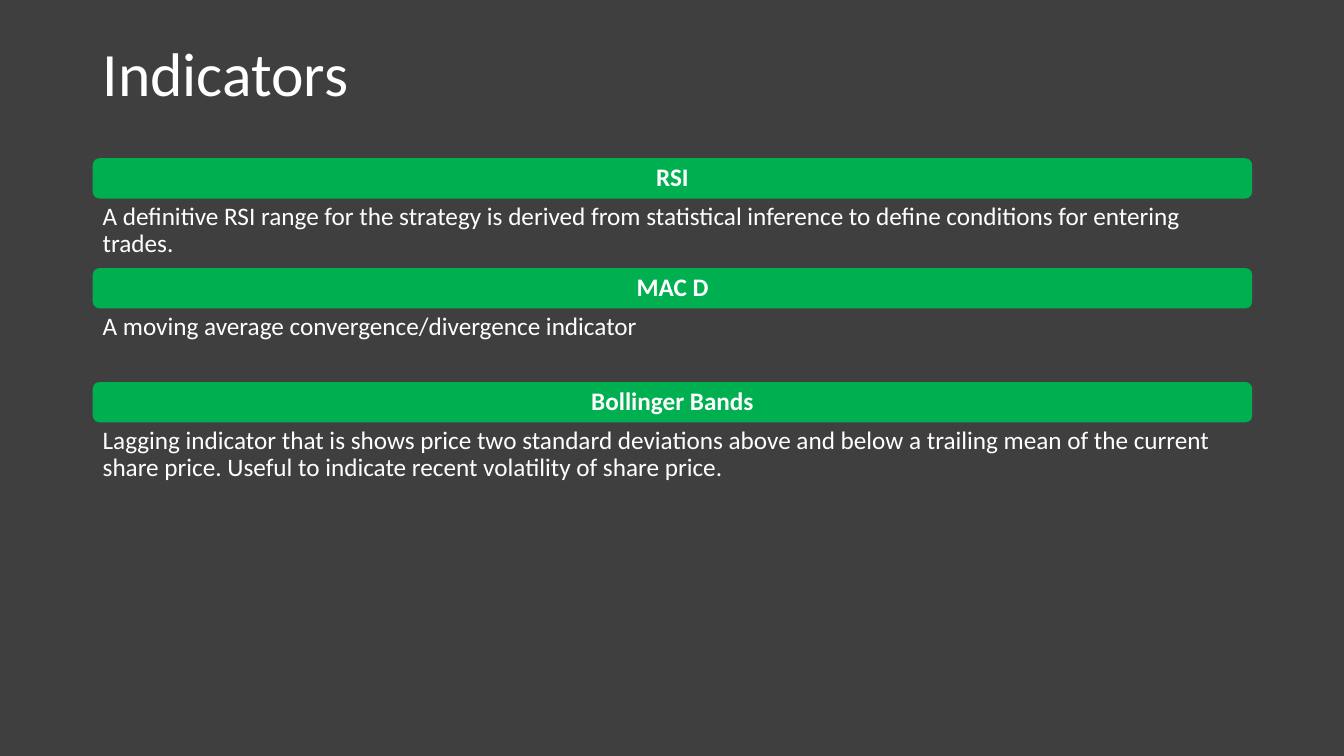
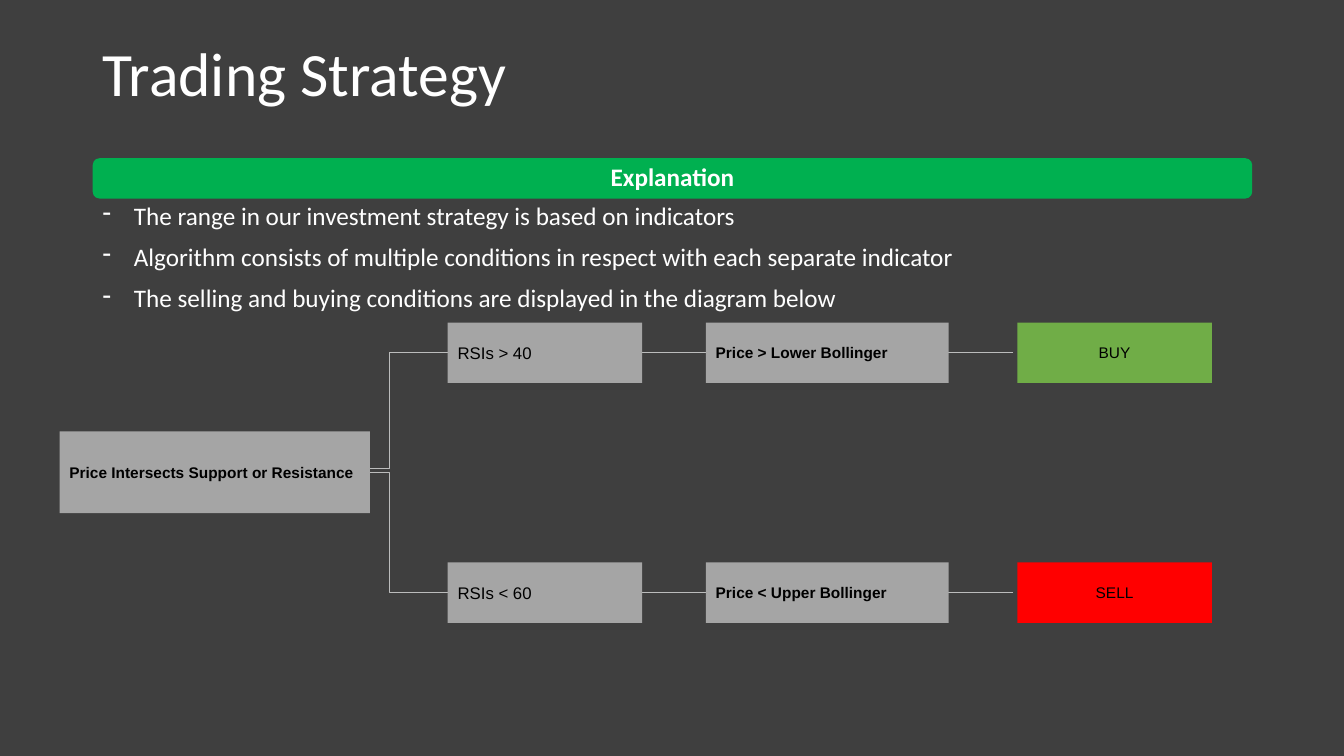
from dataclasses import dataclass

from lxml.etree import SubElement
from pptx import Presentation
from pptx.dml.color import RGBColor
from pptx.enum.shapes import MSO_CONNECTOR, MSO_SHAPE
from pptx.enum.text import MSO_ANCHOR, PP_ALIGN
from pptx.oxml.ns import qn
from pptx.util import Inches, Pt


@dataclass(frozen=True)
class Theme:
    """Colours, fonts and type sizes shared by the slides."""
    background: str = "3F3F3F"
    light_text: str = "FFFFFF"
    dark_text: str = "000000"
    band: str = "00B050"
    condition: str = "A5A5A5"
    buy: str = "70AD47"
    sell: str = "FF0000"
    link: str = "BBBCBC"
    heading_font: str = "Calibri"
    diagram_font: str = "Arial"
    title_size: float = 44
    body_size: float = 18
    rsi_size: float = 12
    node_size: float = 11
    link_width: float = 0.75


@dataclass(frozen=True)
class Box:
    """A region in inches."""
    left: float
    top: float
    width: float
    height: float

    def lengths(self):
        """Return the four values as lengths."""
        return [Inches(v) for v in (self.left, self.top, self.width, self.height)]


THEME = Theme()
CONTENT_LEFT, CONTENT_WIDTH = 0.92, 11.5
BAND_TOP, BAND_HEIGHT = 1.57, 0.4
TITLE_BOX = Box(CONTENT_LEFT, 0.03, CONTENT_WIDTH, 1.46)
NODE_HEIGHT = 0.6


def write_text(frame, lines, size, color, font, bold=False, align=PP_ALIGN.LEFT,
               line_spacing=None, space_before=0):
    """Fill a text frame with uniformly formatted paragraphs."""
    frame.word_wrap = True
    frame.text = "\n".join(lines)
    for paragraph in frame.paragraphs:
        paragraph.alignment = align
        paragraph.line_spacing = line_spacing
        paragraph.space_before = Pt(space_before)
        for run in paragraph.runs:
            run.font.size = Pt(size)
            run.font.name = font
            run.font.bold = bold
            run.font.color.rgb = RGBColor.from_string(color)


def add_panel(slide, box, kind, fill):
    """Add a flat filled shape and return it."""
    panel = slide.shapes.add_shape(kind, *box.lengths())
    panel.shadow.inherit = False
    panel.fill.solid()
    panel.fill.fore_color.rgb = RGBColor.from_string(fill)
    panel.line.fill.background()
    return panel


def add_title(slide, box, title):
    """Place the slide title."""
    frame = slide.shapes.add_textbox(*box.lengths()).text_frame
    frame.vertical_anchor = MSO_ANCHOR.MIDDLE
    write_text(frame, [title], THEME.title_size, THEME.light_text,
               THEME.heading_font, line_spacing=0.9)


def add_section(slide, box, heading, lines, dashed=False):
    """Place a green heading band with body text under it."""
    band_box = Box(box.left, box.top, box.width, BAND_HEIGHT)
    band = add_panel(slide, band_box, MSO_SHAPE.ROUNDED_RECTANGLE, THEME.band)
    band.text_frame.vertical_anchor = MSO_ANCHOR.TOP
    write_text(band.text_frame, [heading], THEME.body_size, THEME.light_text,
               THEME.heading_font, bold=True, align=PP_ALIGN.CENTER,
               line_spacing=0.9, space_before=10)
    body_box = Box(box.left, box.top + BAND_HEIGHT, box.width, box.height - BAND_HEIGHT)
    body = slide.shapes.add_textbox(*body_box.lengths()).text_frame
    write_text(body, lines, THEME.body_size, THEME.light_text,
               THEME.heading_font, line_spacing=0.9, space_before=10)
    if dashed:
        for paragraph in body.paragraphs:
            add_dash(paragraph)


def add_dash(paragraph):
    """Give a paragraph a hanging dash bullet."""
    properties = paragraph._p.get_or_add_pPr()
    properties.set("marL", str(Inches(0.31)))
    properties.set("indent", str(-Inches(0.31)))
    SubElement(properties, qn("a:buChar")).set("char", "-")


def add_node(slide, box, label, fill, size=THEME.node_size, bold=False,
             align=PP_ALIGN.LEFT):
    """Place one box of the decision diagram."""
    node = add_panel(slide, box, MSO_SHAPE.RECTANGLE, fill)
    frame = node.text_frame
    frame.vertical_anchor = MSO_ANCHOR.MIDDLE
    frame.margin_left = frame.margin_right = Inches(0.1)
    frame.margin_top = frame.margin_bottom = Inches(0.1)
    write_text(frame, [label], size, THEME.dark_text, THEME.diagram_font, bold, align)


def add_link(slide, start, end):
    """Join two points with a thin elbow line."""
    link = slide.shapes.add_connector(
        MSO_CONNECTOR.ELBOW, *[Inches(v) for v in (*start, *end)])
    link.line.color.rgb = RGBColor.from_string(THEME.link)
    link.line.width = Pt(THEME.link_width)
    SubElement(link._element.spPr, qn("a:effectLst"))


def add_branch(slide, box, root_point, rsi, price, action, action_fill):
    """Place one row of conditions that ends in an action."""
    middle = box.top + 0.3
    price_left, action_left = box.left + 2.56, box.left + 5.65
    add_link(slide, root_point, (box.left, middle))
    add_link(slide, (box.left + 1.93, middle), (price_left, middle))
    add_link(slide, (price_left + 2.38, middle), (action_left - 0.04, middle))
    add_node(slide, Box(box.left, box.top, 1.93, box.height), rsi,
             THEME.condition, size=THEME.rsi_size)
    add_node(slide, Box(price_left, box.top, 2.41, box.height), price,
             THEME.condition, bold=True)
    add_node(slide, Box(action_left, box.top, 1.93, box.height), action,
             action_fill, align=PP_ALIGN.CENTER)


def add_decision_tree(slide, box):
    """Place the root condition and its buy and sell branches."""
    branch_left, branch_width = box.left + 3.85, box.width - 3.85
    root = Box(box.left, box.top + 1.08, 3.08, 0.81)
    root_x, root_y = root.left + 2.7, root.top + 0.39
    branches = [
        (box.top, root_y - 0.02, "RSIs > 40", "Price > Lower Bollinger",
         "BUY", THEME.buy),
        (box.top + box.height - NODE_HEIGHT, root_y + 0.02, "RSIs < 60",
         "Price < Upper Bollinger", "SELL", THEME.sell),
    ]
    for top, start_y, *labels in branches:
        add_branch(slide, Box(branch_left, top, branch_width, NODE_HEIGHT),
                   (root_x, start_y), *labels)
    add_node(slide, root, "Price Intersects Support or Resistance",
             THEME.condition, bold=True)


def start_slide(deck, title):
    """Add a dark blank slide with a title."""
    slide = deck.slides.add_slide(deck.slide_layouts[6])
    slide.background.fill.solid()
    slide.background.fill.fore_color.rgb = RGBColor.from_string(THEME.background)
    add_title(slide, TITLE_BOX, title)
    return slide


def build_indicators(deck):
    """Build the slide that explains the three indicators."""
    slide = start_slide(deck, "Indicators")
    indicators = [
        (BAND_TOP, "RSI",
         "A definitive RSI range for the strategy is derived from statistical "
         "inference to define conditions for entering trades."),
        (2.66, "MAC D", "A moving average convergence/divergence indicator"),
        (3.79, "Bollinger Bands",
         "Lagging indicator that is shows price two standard deviations above and "
         "below a trailing mean of the current share price. Useful to indicate "
         "recent volatility of share price."),
    ]
    for top, heading, description in indicators:
        add_section(slide, Box(CONTENT_LEFT, top, CONTENT_WIDTH, 1.11),
                    heading, [description])


def build_strategy(deck):
    """Build the slide with the explanation and the decision tree."""
    slide = start_slide(deck, "Trading Strategy")
    add_section(slide, Box(CONTENT_LEFT, BAND_TOP, CONTENT_WIDTH, 5.21), "Explanation", [
        "The range in our investment strategy is based on indicators",
        "Algorithm consists of multiple conditions in respect with each separate indicator",
        "The selling and buying conditions are displayed in the diagram below",
    ], dashed=True)
    add_decision_tree(slide, Box(0.59, 3.2, 11.43, 2.98))


def main():
    """Build and save the deck."""
    deck = Presentation()
    deck.slide_width, deck.slide_height = Inches(13.33), Inches(7.5)
    build_indicators(deck)
    build_strategy(deck)
    deck.save("out.pptx")


main()
